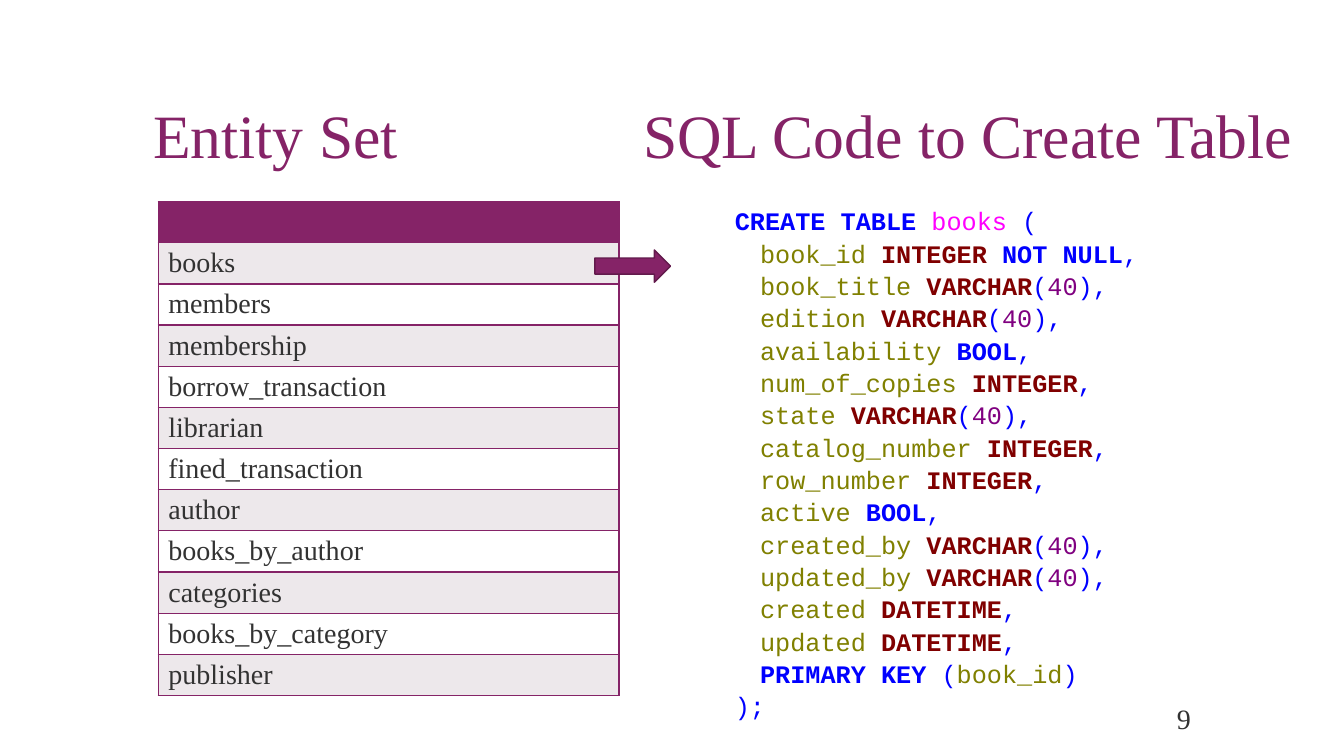
from dataclasses import dataclass

from lxml import etree
from pptx import Presentation
from pptx.dml.color import RGBColor
from pptx.enum import shapes, text
from pptx.oxml import ns
from pptx.util import Inches, Pt

PLUM = RGBColor(0x85, 0x23, 0x67)
EDGE = RGBColor(0x62, 0x1A, 0x4C)
INK = RGBColor(0x32, 0x32, 0x32)
BAND = RGBColor(0xED, 0xE8, 0xEB)
WHITE = RGBColor(0xFF, 0xFF, 0xFF)
BLUE = RGBColor(0x00, 0x00, 0xFF)
PINK = RGBColor(0xFF, 0x00, 0xFF)
OLIVE = RGBColor(0x80, 0x80, 0x00)
MAROON = RGBColor(0x80, 0x00, 0x00)
PURPLE = RGBColor(0x80, 0x00, 0x80)
SERIF = "Times New Roman"
MONO = "Courier New"


@dataclass(frozen=True)
class Token:
    text: str
    color: RGBColor
    bold: bool = False


@dataclass(frozen=True)
class Line:
    indent: float
    tokens: list[Token]


@dataclass(frozen=True)
class Field:
    name: str
    kind: str
    size: str = ""
    strict: bool = False

    def line(self) -> Line:
        tone = BLUE if self.kind == "BOOL" else MAROON
        gap = " " if self.strict else ""
        tokens = [Token(self.name + " ", OLIVE), Token(self.kind + gap, tone, True)]
        if self.strict:
            tokens.append(Token("NOT NULL", BLUE, True))
        if self.size:
            tokens += [Token("(", BLUE), Token(self.size, PURPLE), Token("),", BLUE)]
        else:
            tokens.append(Token(",", BLUE))
        return Line(0.5, tokens)


ENTITIES = ["books", "members", "membership", "borrow_transaction", "librarian",
            "fined_transaction", "author", "books_by_author", "categories",
            "books_by_category", "publisher"]
FIELDS = [
    Field("book_id", "INTEGER", strict=True),
    Field("book_title", "VARCHAR", "40"),
    Field("edition", "VARCHAR", "40"),
    Field("availability", "BOOL"),
    Field("num_of_copies", "INTEGER"),
    Field("state", "VARCHAR", "40"),
    Field("catalog_number", "INTEGER"),
    Field("row_number", "INTEGER"),
    Field("active", "BOOL"),
    Field("created_by", "VARCHAR", "40"),
    Field("updated_by", "VARCHAR", "40"),
    Field("created", "DATETIME"),
    Field("updated", "DATETIME"),
]
CODE = [
    Line(0.25, [Token("CREATE TABLE ", BLUE, True), Token("books ", PINK),
                Token("(", BLUE)]),
    *[field.line() for field in FIELDS],
    Line(0.5, [Token("PRIMARY KEY ", BLUE, True), Token("(", BLUE),
               Token("book_id", OLIVE), Token(")", BLUE)]),
    Line(0.25, [Token(");", BLUE)]),
]


def add_run(para, token: Token, font: str, size: int) -> None:
    run = para.add_run()
    run.text = token.text
    run.font.name = font
    run.font.size = Pt(size)
    run.font.bold = token.bold
    run.font.color.rgb = token.color


def place(shape, left: float, top: float, width: float, height: float) -> None:
    shape.left, shape.top = Inches(left), Inches(top)
    shape.width, shape.height = Inches(width), Inches(height)


def add_box(slide, left: float, top: float, width: float, height: float):
    box = slide.shapes.add_textbox(
        Inches(left), Inches(top), Inches(width), Inches(height))
    box.text_frame.word_wrap = True
    return box


def set_head(shape, words: str) -> None:
    frame = shape.text_frame
    frame.auto_size = text.MSO_AUTO_SIZE.NONE
    frame.vertical_anchor = text.MSO_ANCHOR.BOTTOM
    para = frame.paragraphs[0]
    para.alignment = text.PP_ALIGN.LEFT
    para.line_spacing = 0.9
    add_run(para, Token(words, PLUM), SERIF, 44)


def add_edges(cell) -> None:
    """Draw a thin plum line on all four sides of a cell."""
    props = cell._tc.get_or_add_tcPr()
    for spot, side in enumerate(("lnL", "lnR", "lnT", "lnB")):
        line = etree.Element(ns.qn(f"a:{side}"), w=str(Pt(1)))
        fill = etree.SubElement(line, ns.qn("a:solidFill"))
        etree.SubElement(fill, ns.qn("a:srgbClr"), val=str(PLUM))
        props.insert(spot, line)


def add_list(slide) -> None:
    rows = ["", *ENTITIES]
    table = slide.shapes.add_table(
        len(rows), 1, Inches(1.57), Inches(2), Inches(4.57), Inches(4.9)).table
    for index, name in enumerate(rows):
        cell = table.cell(index, 0)
        cell.margin_top = cell.margin_bottom = Inches(0.03)
        cell.vertical_anchor = text.MSO_ANCHOR.MIDDLE
        cell.fill.solid()
        cell.fill.fore_color.rgb = (
            PLUM if index == 0 else BAND if index % 2 else WHITE)
        if name:
            add_run(cell.text_frame.paragraphs[0], Token(name, INK), SERIF, 20)
        add_edges(cell)


def add_arrow(slide) -> None:
    arrow = slide.shapes.add_shape(
        shapes.MSO_SHAPE.RIGHT_ARROW,
        Inches(5.9), Inches(2.48), Inches(0.75), Inches(0.32))
    arrow.shadow.inherit = False
    arrow.fill.solid()
    arrow.fill.fore_color.rgb = PLUM
    arrow.line.color.rgb = EDGE
    arrow.line.width = Pt(1)


def add_code(slide) -> None:
    frame = add_box(slide, 6.94, 1.97, 6.67, 5.61).text_frame
    for index, line in enumerate(CODE):
        para = frame.add_paragraph() if index else frame.paragraphs[0]
        para.line_spacing = 1.07
        para._p.get_or_add_pPr().set("marL", str(Inches(line.indent)))
        for token in line.tokens:
            add_run(para, token, MONO, 18)


def add_page(slide) -> None:
    frame = add_box(slide, 10.71, 7, 1.2, 0.26).text_frame
    frame.vertical_anchor = text.MSO_ANCHOR.MIDDLE
    para = frame.paragraphs[0]
    para.alignment = text.PP_ALIGN.RIGHT
    add_run(para, Token("9", INK), SERIF, 20)


def main() -> None:
    deck = Presentation()
    deck.slide_width, deck.slide_height = Inches(13.33), Inches(7.5)
    slide = deck.slides.add_slide(deck.slide_layouts.get_by_name("Title Only"))
    title = slide.shapes.title
    place(title, 1.42, 0.4, 10.5, 1.35)
    set_head(title, "Entity Set")
    add_list(slide)
    add_arrow(slide)
    set_head(add_box(slide, 6.28, 0.4, 6.67, 1.35), "SQL Code to Create Table")
    add_code(slide)
    add_page(slide)
    deck.save("out.pptx")


if __name__ == "__main__":
    main()
